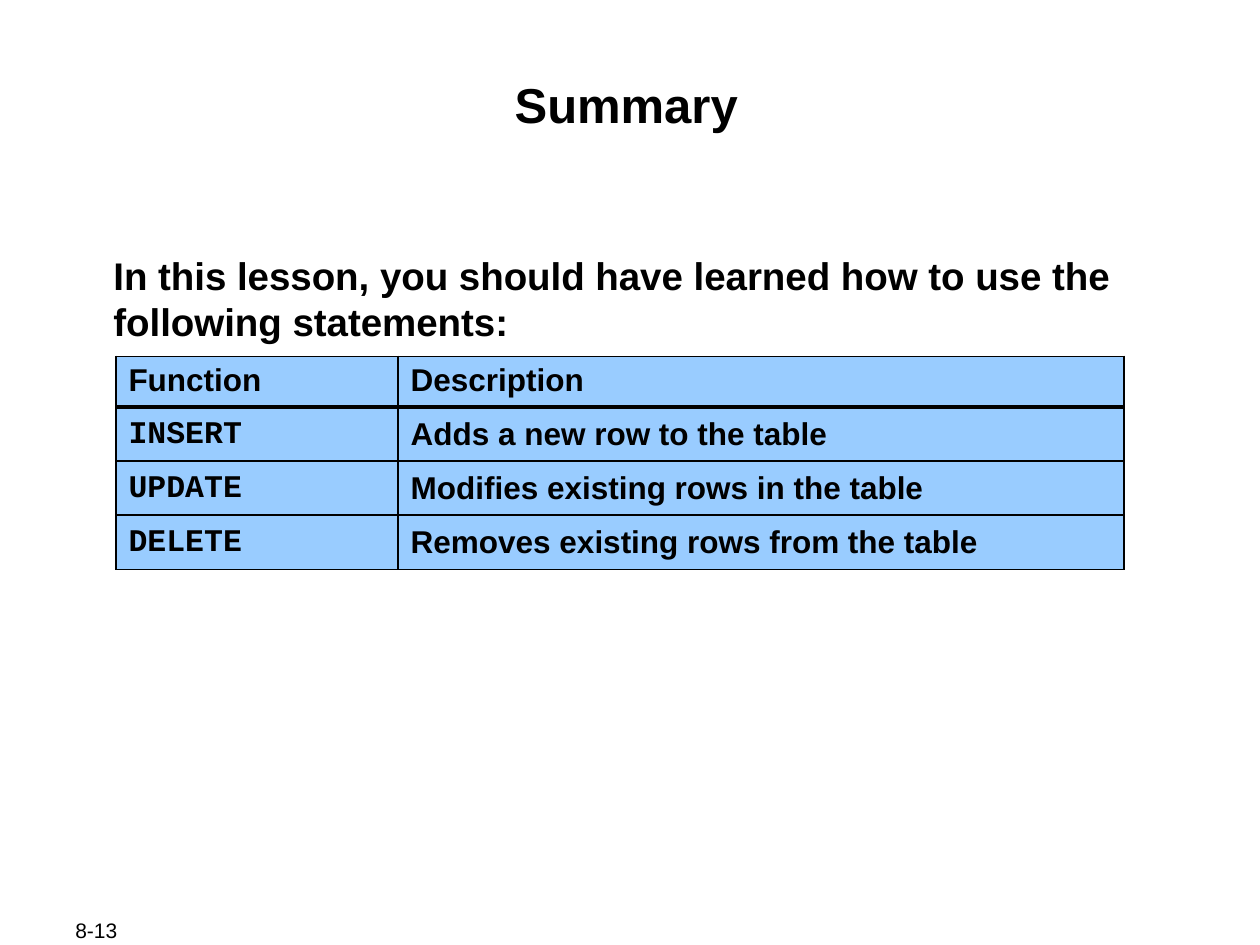
from dataclasses import dataclass

from lxml import etree
from pptx import Presentation
from pptx.dml.color import RGBColor
from pptx.enum.text import MSO_ANCHOR, MSO_AUTO_SIZE, PP_ALIGN
from pptx.oxml.ns import qn
from pptx.util import Inches, Pt

TOP, MIDDLE = MSO_ANCHOR.TOP, MSO_ANCHOR.MIDDLE
LEFT, CENTER = PP_ALIGN.LEFT, PP_ALIGN.CENTER
NO_FIT = MSO_AUTO_SIZE.NONE
EDGES = ("a:lnL", "a:lnR", "a:lnT", "a:lnB")


@dataclass(frozen=True)
class Theme:
    ink: str = "000000"
    fill: str = "99CCFF"
    sans: str = "Arial"
    mono: str = "Courier New"
    title: float = 28
    body: float = 22
    cell: float = 18
    note: float = 12
    thin: float = 1.08
    thick: float = 2.21


class Deck:
    def __init__(self, theme):
        self.theme = theme
        self.prs = Presentation()
        self.prs.slide_width, self.prs.slide_height = Inches(10), Inches(7.5)
        self.slide = self.prs.slides.add_slide(self.prs.slide_layouts[1])

    def add_text(self, para, text, size, font=None, bold=True, before=0, align=LEFT):
        para.alignment = align
        para.space_before = Pt(before)
        run = para.add_run()
        run.text = text
        run.font.name = font or self.theme.sans
        run.font.size, run.font.bold = Pt(size), bold
        run.font.color.rgb = RGBColor.from_string(self.theme.ink)

    def place(self, shape, box, inset, anchor=TOP):
        """Set a text shape's bounds and margins; return its first paragraph."""
        shape.left, shape.top, shape.width, shape.height = map(Inches, box)
        frame = shape.text_frame
        frame.auto_size, frame.word_wrap = NO_FIT, True
        frame.vertical_anchor = anchor
        frame.margin_left = frame.margin_right = Inches(inset[0])
        frame.margin_top = frame.margin_bottom = Inches(inset[1])
        return frame.paragraphs[0]

    def title(self, text, box):
        para = self.place(self.slide.shapes.title, box, (0.01, 0.01))
        self.add_text(para, text, self.theme.title, before=7, align=CENTER)

    def body(self, text, box):
        para = self.place(self.slide.placeholders[1], box, (0.01, 0.01))
        self.add_text(para, text, self.theme.body, before=5.5)
        props = para._p.get_or_add_pPr()
        props.set("marL", "0")
        props.set("indent", "0")
        etree.SubElement(props, qn("a:buNone"))

    def note(self, text, box):
        shape = self.slide.shapes.add_textbox(*map(Inches, box))
        para = self.place(shape, box, (0.1, 0.05), MIDDLE)
        self.add_text(para, text, self.theme.note, bold=False)

    def border(self, cell, widths):
        props = cell._tc.get_or_add_tcPr()
        for spot, (edge, width) in enumerate(zip(EDGES, widths)):
            line = etree.Element(qn(edge), w=str(Pt(width)))
            fill = etree.SubElement(line, qn("a:solidFill"))
            etree.SubElement(fill, qn("a:srgbClr"), val=self.theme.ink)
            props.insert(spot, line)

    def table(self, rows, box, cols, heights):
        theme = self.theme
        grid = self.slide.shapes.add_table(
            len(rows), len(cols), *map(Inches, box)).table
        for col, width in zip(grid.columns, cols):
            col.width = Inches(width)
        for r, (row, height) in enumerate(zip(rows, heights)):
            grid.rows[r].height = Inches(height)
            top = theme.thick if r == 1 else theme.thin
            low = theme.thick if r == 0 else theme.thin
            for c, text in enumerate(row):
                cell = grid.cell(r, c)
                cell.fill.solid()
                cell.fill.fore_color.rgb = RGBColor.from_string(theme.fill)
                self.border(cell, (theme.thin, theme.thin, top, low))
                para = cell.text_frame.paragraphs[0]
                font = theme.mono if r and c == 0 else theme.sans
                self.add_text(para, text, theme.cell, font,
                              before=13.5 if r else 4.5)
                if r:
                    para.line_spacing = 1.1

    def save(self):
        self.prs.save("out.pptx")


def main():
    deck = Deck(Theme())
    deck.note("8-13", (0.5, 7.28, 1.06, 0.2))
    deck.title("Summary", (0.97, 0.58, 8, 0.96))
    deck.body("In this lesson, you should have learned how to use the "
              "following statements:", (0.89, 1.99, 8.06, 0.76))
    rows = [
        ("Function", "Description"),
        ("INSERT", "Adds a new row to the table"),
        ("UPDATE", "Modifies existing rows in the table"),
        ("DELETE", "Removes existing rows from the table"),
    ]
    deck.table(rows, (0.92, 2.83, 8, 1.69), (2.24, 5.76), [0.4] + [0.43] * 3)
    deck.save()


if __name__ == "__main__":
    main()
